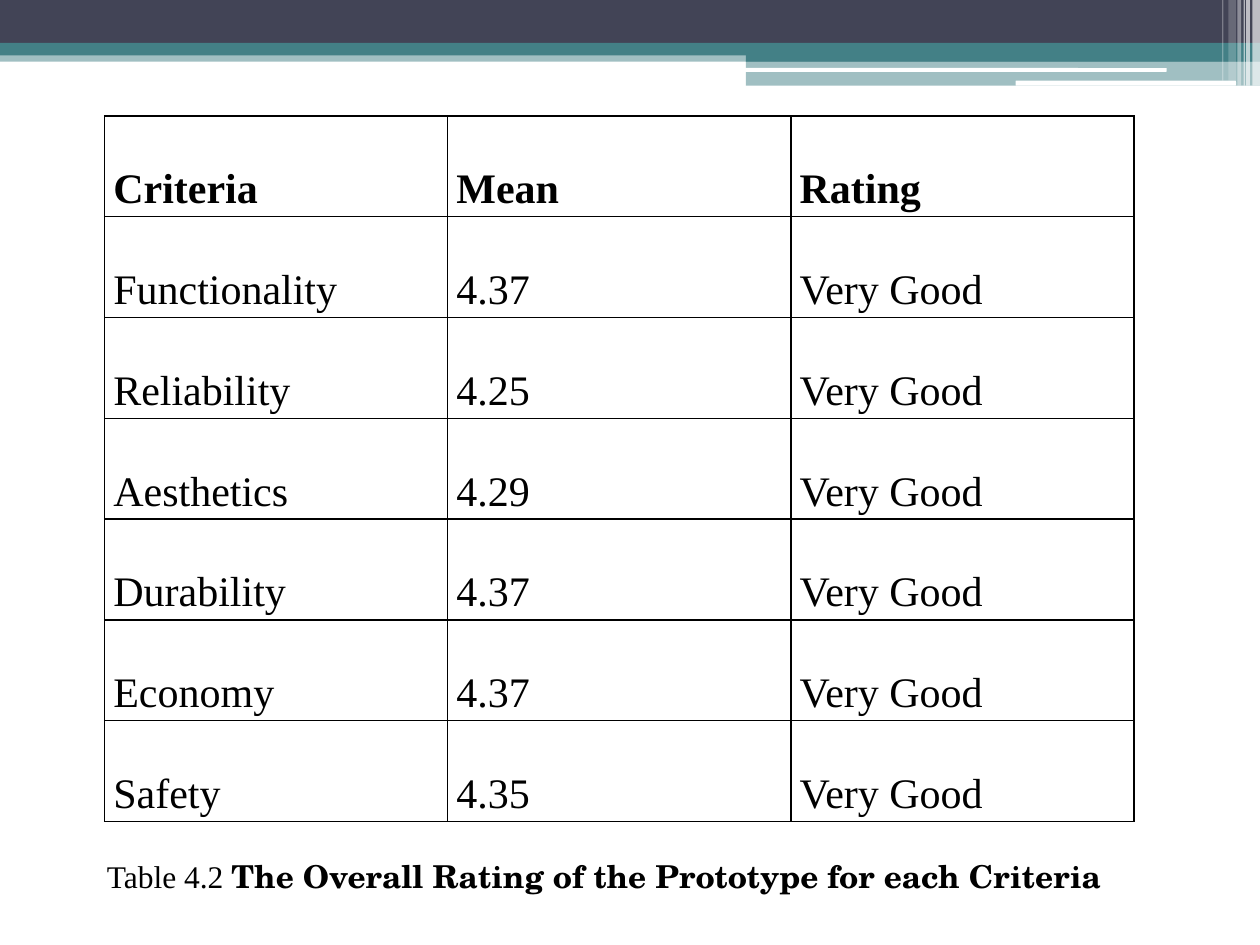
from lxml import etree
from pptx import Presentation
from pptx.dml.color import RGBColor
from pptx.enum.shapes import MSO_SHAPE
from pptx.enum.text import MSO_ANCHOR, PP_ALIGN
from pptx.oxml.ns import qn
from pptx.util import Inches, Pt

WHITE = RGBColor(0xFF, 0xFF, 0xFF)
BLACK = RGBColor(0, 0, 0)
NAVY = RGBColor(0x42, 0x44, 0x56)
TEAL = RGBColor(0x43, 0x80, 0x86)
SERIF = "Times New Roman"
SCHOOL = "TeX Gyre Schola"

# left, top, width, height, colour, opacity in percent
BANDS = [
    (0, 0.4, 10, 0.09, TEAL, 50),
    (0, 0, 10, 0.34, NAVY, 100),
    (0, 0.34, 10, 0.1, TEAL, 100),
    (5.92, 0.39, 4.08, 0.1, TEAL, 100),
    (5.92, 0.48, 4.08, 0.2, TEAL, 50),
]
WHITE_BARS = [(5.91, 0.54, 3.35, 0.03), (8.06, 0.64, 1.75, 0.04)]
# left, width, height, opacity in percent
STRIPES = [
    (9.94, 0.06, 0.68, 65),
    (9.89, 0.03, 0.68, 65),
    (9.87, 0.01, 0.68, 60),
    (9.82, 0.03, 0.68, 40),
    (9.75, 0.06, 0.64, 20),
    (9.7, 0.01, 0.64, 30),
]
RATINGS = [
    ("Criteria", "Mean", "Rating"),
    ("Functionality", "4.37", "Very Good"),
    ("Reliability", "4.25", "Very Good"),
    ("Aesthetics", "4.29", "Very Good"),
    ("Durability", "4.37", "Very Good"),
    ("Economy", "4.37", "Very Good"),
    ("Safety", "4.35", "Very Good"),
]


def add_bar(slide, box, color, opacity=100, kind=MSO_SHAPE.RECTANGLE):
    sp = slide.shapes.add_shape(kind, *(Inches(v) for v in box))
    sp.shadow.inherit = False
    sp.line.fill.background()
    sp.fill.solid()
    sp.fill.fore_color.rgb = color
    if opacity < 100:
        clr = sp.fill._xPr.find(".//" + qn("a:srgbClr"))
        etree.SubElement(clr, qn("a:alpha"), val=str(opacity * 1000))


def add_header(slide):
    for *box, color, opacity in BANDS:
        add_bar(slide, box, color, opacity)
    for box in WHITE_BARS:
        add_bar(slide, box, WHITE, kind=MSO_SHAPE.ROUNDED_RECTANGLE)
    for left, width, height, opacity in STRIPES:
        add_bar(slide, (left, 0, width, height), WHITE, opacity)


def style_run(r, font, size, bold):
    r.font.name = font
    r.font.size = Pt(size)
    r.font.bold = bold
    r.font.color.rgb = BLACK


def set_borders(cell):
    """Draw a thin black line on all four sides; call before the fill is set."""
    tc_pr = cell._tc.get_or_add_tcPr()
    for side in ("a:lnL", "a:lnR", "a:lnT", "a:lnB"):
        ln = etree.SubElement(tc_pr, qn(side), w=str(Pt(1)))
        fill = etree.SubElement(ln, qn("a:solidFill"))
        etree.SubElement(fill, qn("a:srgbClr"), val=str(BLACK))


def add_ratings_table(slide, left, top, width, height):
    rows, cols = len(RATINGS), len(RATINGS[0])
    table = slide.shapes.add_table(rows, cols, left, top, width, height).table
    for i, values in enumerate(RATINGS):
        for j, value in enumerate(values):
            cell = table.cell(i, j)
            set_borders(cell)
            cell.fill.background()
            cell.vertical_anchor = MSO_ANCHOR.MIDDLE
            cell.margin_left = cell.margin_right = Inches(0.07)
            cell.margin_top = cell.margin_bottom = 0
            p = cell.text_frame.paragraphs[0]
            p.text = value
            p.alignment = PP_ALIGN.JUSTIFY
            p.line_spacing = 2.0
            style_run(p.runs[0], SERIF, 24, bold=i == 0)


def add_caption(slide, left, top, width, height):
    sp = slide.shapes.add_textbox(left, top, width, height)
    sp.fill.solid()
    sp.fill.fore_color.rgb = WHITE
    tf = sp.text_frame
    tf.word_wrap = True
    p = tf.paragraphs[0]
    p.space_after = Pt(10)
    for text, font, bold in (
        ("Table 4.2 ", SERIF, False),
        ("The Overall Rating of the Prototype for each Criteria", SCHOOL, True),
    ):
        r = p.add_run()
        r.text = text
        style_run(r, font, 18, bold)


def main():
    prs = Presentation()
    prs.slide_width, prs.slide_height = Inches(10), Inches(7.5)
    slide = prs.slides.add_slide(prs.slide_layouts[6])
    add_header(slide)
    add_ratings_table(slide, Inches(0.83), Inches(0.92), Inches(8.17), Inches(5.6))
    add_caption(slide, Inches(0.75), Inches(6.75), Inches(8.5), Inches(0.5))
    prs.save("out.pptx")


if __name__ == "__main__":
    main()
